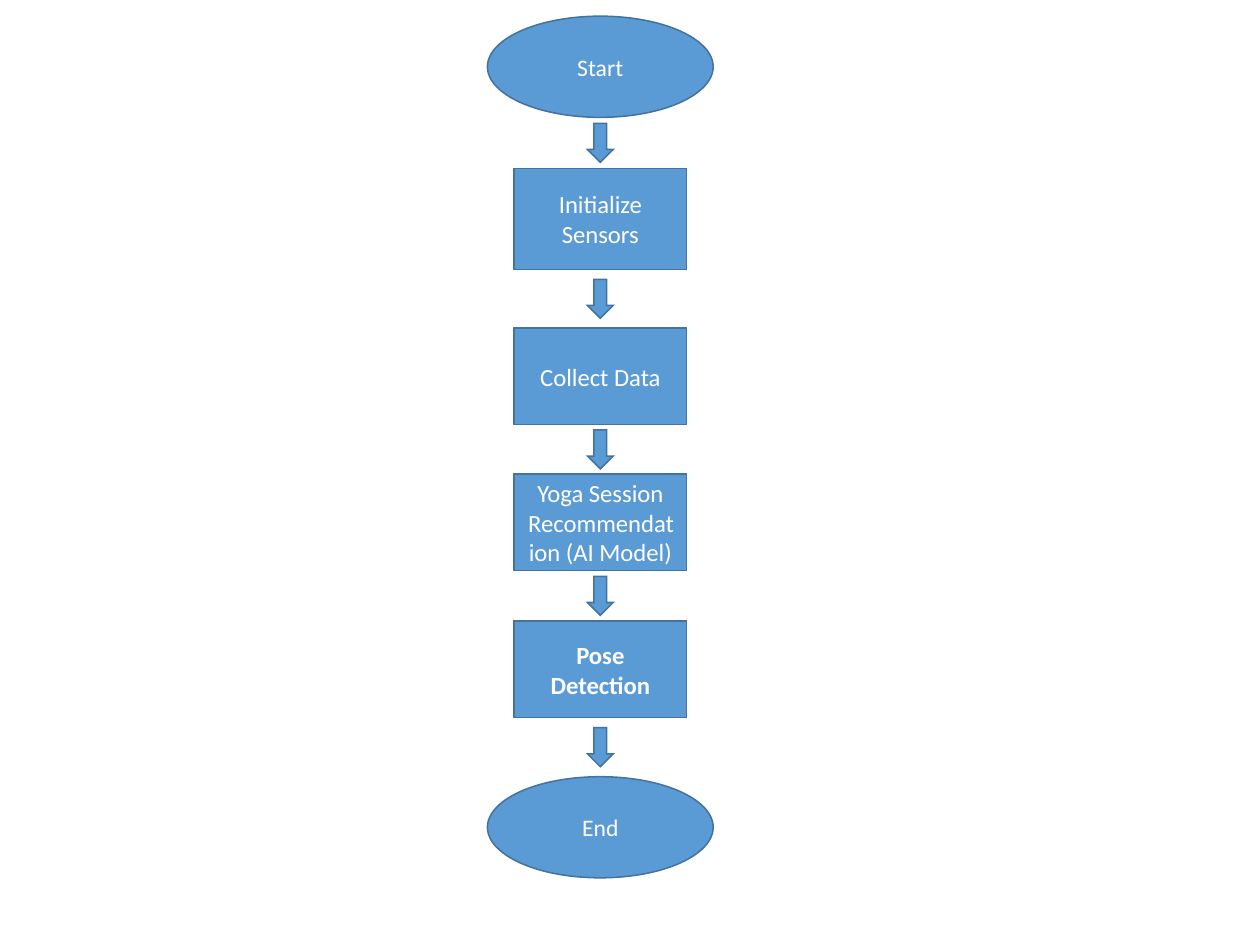
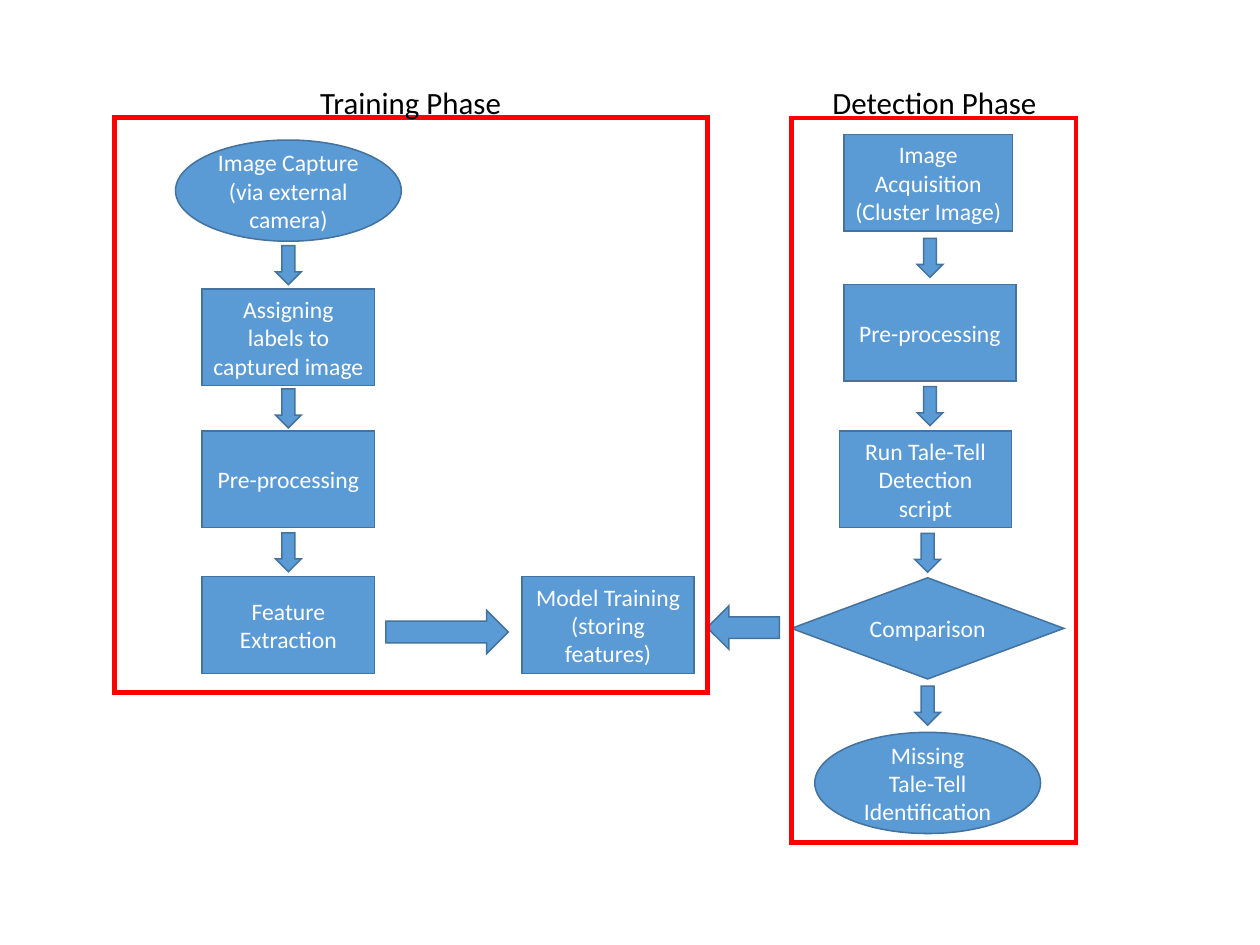
from dataclasses import dataclass
from itertools import pairwise

import lxml.etree
import pptx
import pptx.dml.color
import pptx.enum.shapes
import pptx.enum.text
import pptx.oxml.ns
import pptx.shapes.autoshape
import pptx.slide
import pptx.text.text
import pptx.util

Pt = pptx.util.Pt
Shape = pptx.enum.shapes.MSO_SHAPE

COLORS = {
    "node": "5B9BD5",
    "outline": "43739E",
    "frame": "FF0000",
    "node_text": "FFFFFF",
    "heading": "000000",
}
FONT = "Calibri"
STEP_SIZE = 15.3
STEP_WIDTH, STEP_HEIGHT = 111.6, 62.6
TERMINAL_WIDTH, TERMINAL_HEIGHT = 146.2, 65.5
ARROW_WIDTH, ARROW_HEIGHT = 16.6, 25.2
HEADING_WIDTH, HEADING_HEIGHT = 235.4, 31.7


@dataclass(frozen=True)
class Box:
    left: float
    top: float
    width: float
    height: float


@dataclass(frozen=True)
class Step:
    """One node of a flow; each line of its text is a paragraph."""

    text: str
    center: float
    top: float
    width: float = STEP_WIDTH
    height: float = STEP_HEIGHT
    kind: Shape = Shape.RECTANGLE
    size: float = STEP_SIZE
    bold: bool = False

    @property
    def bottom(self) -> float:
        return self.top + self.height

    @property
    def box(self) -> Box:
        return Box(self.center - self.width / 2, self.top, self.width, self.height)


@dataclass(frozen=True)
class Phase:
    heading: str
    heading_center: float
    frame: Box


def rgb(name: str) -> pptx.dml.color.RGBColor:
    return pptx.dml.color.RGBColor.from_string(COLORS[name])


def terminal(text: str, center: float, top: float) -> Step:
    return Step(text, center, top, TERMINAL_WIDTH, TERMINAL_HEIGHT, Shape.OVAL)


def add_outlined(
    slide: pptx.slide.Slide, kind: Shape, box: Box, line: str = "outline", weight: float = 1
) -> pptx.shapes.autoshape.Shape:
    """Add a shape with a sharp-cornered outline and no shadow."""
    shape = slide.shapes.add_shape(
        kind, Pt(box.left), Pt(box.top), Pt(box.width), Pt(box.height)
    )
    shape.shadow.inherit = False
    shape.line.color.rgb = rgb(line)
    shape.line.width = Pt(weight)
    outline = shape.element.spPr.find(pptx.oxml.ns.qn("a:ln"))
    lxml.etree.SubElement(outline, pptx.oxml.ns.qn("a:miter"), lim="800000")
    return shape


def add_filled(
    slide: pptx.slide.Slide, kind: Shape, box: Box
) -> pptx.shapes.autoshape.Shape:
    shape = add_outlined(slide, kind, box)
    shape.fill.solid()
    shape.fill.fore_color.rgb = rgb("node")
    return shape


def write(
    frame: pptx.text.text.TextFrame, text: str, size: float, color: str, bold: bool = False
) -> None:
    frame.word_wrap = True
    for index, line in enumerate(text.split("\n")):
        paragraph = frame.add_paragraph() if index else frame.paragraphs[0]
        paragraph.alignment = pptx.enum.text.PP_ALIGN.CENTER
        run = paragraph.add_run()
        run.text = line
        run.font.name = FONT
        run.font.size = Pt(size)
        run.font.bold = bold
        run.font.color.rgb = rgb(color)


def draw_step(slide: pptx.slide.Slide, step: Step) -> None:
    node = add_filled(slide, step.kind, step.box)
    frame = node.text_frame
    frame.vertical_anchor = pptx.enum.text.MSO_ANCHOR.MIDDLE
    if step.kind != Shape.RECTANGLE:
        frame.margin_left = frame.margin_right = Pt(5)
        frame.margin_top = frame.margin_bottom = Pt(3)
    write(frame, step.text, step.size, "node_text", step.bold)


def draw_flow(slide: pptx.slide.Slide, steps: list[Step]) -> None:
    """Draw the steps, with a down arrow in the middle of each gap."""
    for step in steps:
        draw_step(slide, step)
    for upper, lower in pairwise(steps):
        center = max(upper.center, lower.center)
        middle = (upper.bottom + lower.top) / 2
        add_filled(
            slide,
            Shape.DOWN_ARROW,
            Box(
                center - ARROW_WIDTH / 2, middle - ARROW_HEIGHT / 2, ARROW_WIDTH, ARROW_HEIGHT
            ),
        )


def draw_phase(slide: pptx.slide.Slide, phase: Phase) -> None:
    border = add_outlined(slide, Shape.FLOWCHART_PROCESS, phase.frame, "frame", 3)
    border.fill.background()
    heading = slide.shapes.add_textbox(
        Pt(phase.heading_center - HEADING_WIDTH / 2),
        Pt(50.4),
        Pt(HEADING_WIDTH),
        Pt(HEADING_HEIGHT),
    )
    write(heading.text_frame, phase.heading, 20, "heading")


def build_session_flow(slide: pptx.slide.Slide) -> None:
    center = 388.8
    draw_flow(
        slide,
        [
            terminal("Start", center, 10.5),
            Step("Initialize Sensors", center, 109, height=65.5, size=16),
            Step("Collect Data", center, 212.5, size=16),
            Step("Yoga Session Recommendation (AI Model)", center, 307, size=16),
            Step("Pose Detection", center, 402.2, size=16, bold=True),
            terminal("End", center, 503),
        ],
    )


def build_detection_flow(slide: pptx.slide.Slide) -> None:
    training, detection = 186.8, 600.8
    extraction_top = 373.5
    draw_flow(
        slide,
        [
            terminal("Image Capture\n(via external camera)", training, 90.7),
            Step("Assigning labels to captured image", training, 187.2),
            Step("Pre-processing", training, 279.2),
            Step("Feature Extraction", training, extraction_top),
        ],
    )
    draw_step(slide, Step("Model Training (storing features)", 393.8, extraction_top))
    draw_flow(
        slide,
        [
            Step("Image Acquisition\n(Cluster Image)", 601.2, 87.1, width=109.4),
            Step("Pre-processing", 602.3, 184.3),
            Step("Run Tale-Tell Detection\nscript", 599.4, 279.2),
            Step("Comparison", detection, 374.2, 176.4, TERMINAL_HEIGHT, Shape.DIAMOND),
            terminal("Missing\nTale-Tell\nIdentification", detection, 474.3),
        ],
    )
    add_filled(slide, Shape.RIGHT_ARROW, Box(250, 395.3, 79.2, 28.1))
    feedback = add_filled(slide, Shape.RIGHT_ARROW, Box(458, 392.4, 46.8, 28.1))
    feedback.rotation = 180
    for phase in (
        Phase("Training Phase", 266, Box(74.2, 76.3, 383.8, 372.2)),
        Phase("Detection Phase", 605.2, Box(512.6, 76.3, 184.3, 469.4)),
    ):
        draw_phase(slide, phase)


def main() -> None:
    deck = pptx.Presentation()
    deck.slide_width, deck.slide_height = Pt(816), Pt(612)
    blank = deck.slide_layouts[6]
    for build in (build_session_flow, build_detection_flow):
        build(deck.slides.add_slide(blank))
    deck.save("out.pptx")


if __name__ == "__main__":
    main()
